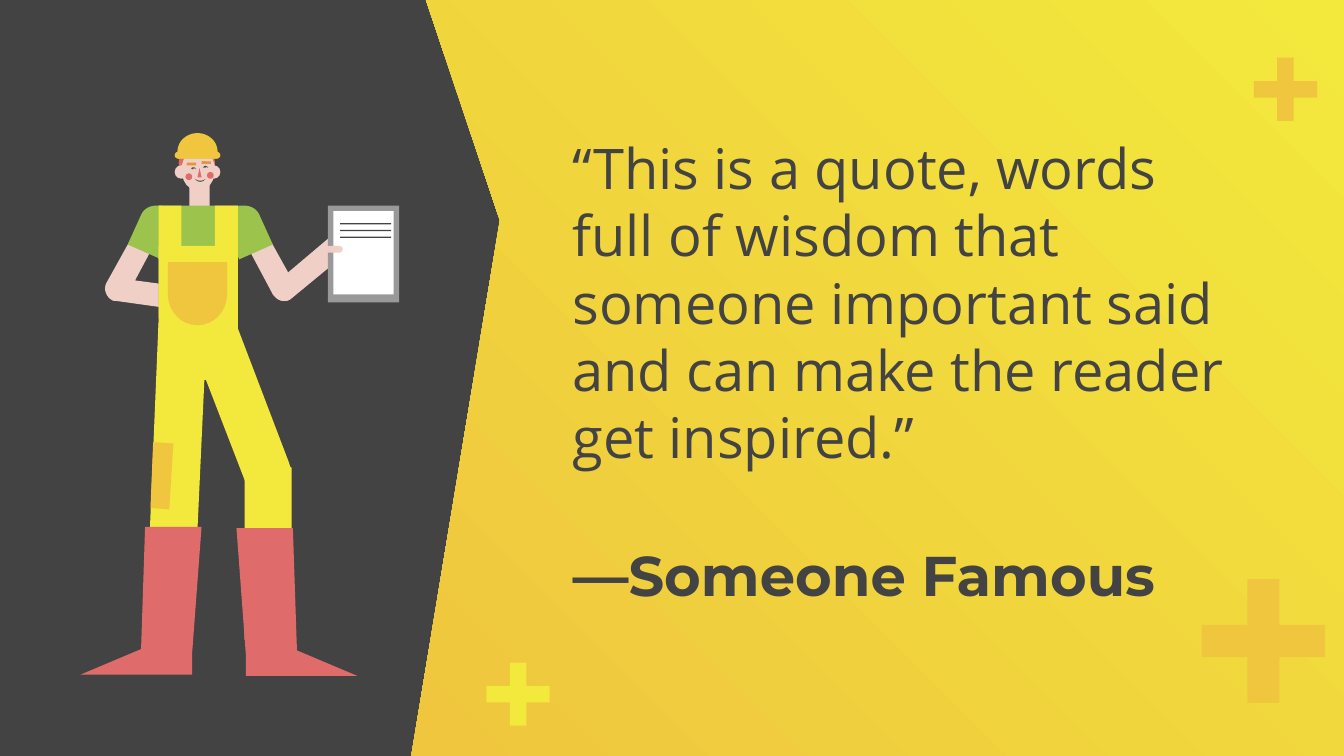
from pptx import Presentation
from pptx.dml.color import RGBColor
from pptx.enum.shapes import MSO_SHAPE as Preset
from pptx.enum.text import MSO_ANCHOR as Anchor, MSO_AUTO_SIZE as AutoSize, PP_ALIGN as Align
from pptx.util import Inches, Pt

COLORS = {
    "dark": "434343", "yellow": "F3E83C", "amber": "EFC63E", "skin": "EFCFC6",
    "green": "9CC34C", "red": "E06B6B", "brow": "E29643", "hair": "2B3340",
    "gray": "999999", "white": "FFFFFF",
}
CURVE_STEPS = 8


def add_preset(shapes, kind, box, color):
    """Add a flat preset shape; box is left, top, width, height in inches."""
    shape = shapes.add_shape(kind, *[Inches(value) for value in box])
    shape.shadow.inherit = False
    shape.line.fill.background()
    shape.fill.solid()
    shape.fill.fore_color.rgb = RGBColor.from_string(COLORS[color])
    return shape


def add_outline(shapes, steps, color):
    """Add a closed outline; a step is a point (2 values) or a Bezier curve (6)."""
    points = [steps[0]]
    for step in steps[1:]:
        if len(step) == 2:
            points.append(step)
            continue
        controls = [points[-1], step[:2], step[2:4], step[4:]]
        for number in range(1, CURVE_STEPS + 1):
            t = number / CURVE_STEPS
            weights = ((1 - t) ** 3, 3 * t * (1 - t) ** 2, 3 * t ** 2 * (1 - t), t ** 3)
            points.append(tuple(
                sum(weight * control[axis] for weight, control in zip(weights, controls))
                for axis in (0, 1)))
    vertices = [(Inches(x), Inches(y)) for x, y in points]
    builder = shapes.build_freeform(*vertices[0])
    builder.add_line_segments(vertices[1:], close=True)
    shape = builder.convert_to_shape()
    shape.shadow.inherit = False
    shape.line.fill.background()
    shape.fill.solid()
    shape.fill.fore_color.rgb = RGBColor.from_string(COLORS[color])
    return shape


# Widescreen slide, 16:9
presentation = Presentation()
presentation.slide_width = Inches(10)
presentation.slide_height = Inches(10) * 9 // 16
slide = presentation.slides.add_slide(presentation.slide_layouts[0])
slide.background.fill.solid()
slide.background.fill.fore_color.rgb = RGBColor.from_string(COLORS["dark"])

# Gradient panel
panel = add_outline(
    slide.shapes, [(3.17, 0), (10, 0), (10, 5.63), (3.06, 5.63), (3.72, 1.64)], "yellow")
panel.fill.gradient()
panel.fill.gradient_angle = 225
for stop, position, color in zip(panel.fill.gradient_stops, (0, 1), ("yellow", "amber")):
    stop.position = position
    stop.color.rgb = RGBColor.from_string(COLORS[color])

# Plus signs
for left, top, size, color in (
        (3.62, 4.93, 0.47, "yellow"), (9.33, 0.43, 0.47, "amber"), (8.94, 4.31, 0.92, "amber")):
    plus = add_preset(slide.shapes, Preset.CROSS, (left, top, size, size), color)
    plus.adjustments[0] = 0.37

# Quote and author, brought in front of the panel
for placeholder, box, text, font_name, bold in (
        (slide.shapes.title, (4.16, 3.9, 4.9, 0.74), "—Someone Famous", "Montserrat", True),
        (slide.placeholders[1], (4.16, 0.81, 5.08, 2.87),
         "“This is a quote, words full of wisdom that someone important said "
         "and can make the reader get inspired.”", "Open Sans", False)):
    slide.shapes.element.append(placeholder.element)
    placeholder.left, placeholder.top, placeholder.width, placeholder.height = map(Inches, box)
    frame = placeholder.text_frame
    frame.word_wrap = True
    frame.auto_size = AutoSize.NONE
    frame.vertical_anchor = Anchor.MIDDLE
    frame.margin_left = frame.margin_right = Inches(0.1)
    frame.margin_top = frame.margin_bottom = Inches(0.1)
    paragraph = frame.paragraphs[0]
    paragraph.alignment = Align.LEFT
    paragraph.space_before = Pt(0)
    paragraph.line_spacing = 1.0
    run = paragraph.add_run()
    run.text = text
    run.font.name = font_name
    run.font.size = Pt(30)
    run.font.bold = bold
    run.font.color.rgb = RGBColor.from_string(COLORS["dark"])

worker = slide.shapes.add_group_shape().shapes

# Upper arms and sleeves, mirrored about the body axis
AXIS = 1.49
upper_arm = [(1.04, 1.66), (0.79, 2.11), (0.77, 2.15, 0.79, 2.21, 0.83, 2.23),
             (0.84, 2.24, 0.86, 2.24, 0.87, 2.24), (0.9, 2.24, 0.93, 2.22, 0.95, 2.19),
             (1.19, 1.74)]
sleeve = [(1.17, 1.53), (1.12, 1.53, 1.07, 1.55, 1.05, 1.6), (0.95, 1.82), (1.2, 1.93),
          (1.29, 1.72), (1.32, 1.65, 1.29, 1.57, 1.23, 1.54), (1.21, 1.53, 1.19, 1.53, 1.17, 1.53)]
for steps, color in ((upper_arm, "skin"), (sleeve, "green")):
    mirrored = [tuple(value if index % 2 else 2 * AXIS - value
                      for index, value in enumerate(step)) for step in steps]
    add_outline(worker, steps, color)
    add_outline(worker, mirrored, color)

# Forearms
add_outline(worker, [(2.46, 1.76), (2.07, 2.09), (2.03, 2.12, 2.02, 2.17, 2.05, 2.21),
                     (2.07, 2.23, 2.1, 2.24, 2.12, 2.24), (2.14, 2.24, 2.16, 2.23, 2.17, 2.22),
                     (2.57, 1.89)], "skin")
add_outline(worker, [(0.88, 2.07), (0.83, 2.07, 0.8, 2.1, 0.79, 2.15),
                     (0.79, 2.2, 0.82, 2.24, 0.87, 2.24), (1.37, 2.31), (1.4, 2.14)], "skin")

# Head and face
for kind, box, color in (
        (Preset.OVAL, (1.33, 1.06, 0.27, 0.31), "red"),
        (Preset.RECTANGLE, (1.41, 1.33, 0.15, 0.25), "skin"),
        (Preset.OVAL, (1.35, 1.11, 0.25, 0.31), "skin"),
        (Preset.OVAL, (1.3, 1.23, 0.1, 0.1), "skin"),
        (Preset.OVAL, (1.54, 1.23, 0.1, 0.1), "skin"),
        (Preset.ISOSCELES_TRIANGLE, (1.47, 1.25, 0.03, 0.07), "red"),
        (Preset.ROUNDED_RECTANGLE, (1.39, 1.21, 0.07, 0.02), "brow"),
        (Preset.ROUNDED_RECTANGLE, (1.5, 1.2, 0.07, 0.02), "brow"),
        (Preset.OVAL, (1.38, 1.29, 0.05, 0.05), "red"),
        (Preset.OVAL, (1.54, 1.28, 0.05, 0.05), "red")):
    add_preset(worker, kind, box, color)
for x, y in ((1.44, 1.25), (1.53, 1.24)):
    add_outline(worker, [(x - 0.02, y + 0.01), (x - 0.01, y - 0.01, x + 0.01, y - 0.01, x + 0.02, y + 0.01),
                         (x + 0.01, y, x - 0.01, y, x - 0.02, y + 0.01)], "dark")
    add_preset(worker, Preset.OVAL, (x - 0.01, y, 0.01, 0.01), "dark")
add_outline(worker, [(1.45, 1.33), (1.47, 1.36, 1.51, 1.36, 1.53, 1.33),
                     (1.51, 1.35, 1.47, 1.35, 1.45, 1.33)], "dark")

# Helmet
add_preset(worker, Preset.OVAL, (1.4, 1.08, 0.11, 0.09), "hair")
add_outline(worker, [(1.47, 0.99), (1.39, 0.99, 1.32, 1.05, 1.32, 1.13), (1.32, 1.18),
                     (1.62, 1.18), (1.62, 1.13), (1.62, 1.05, 1.55, 0.99, 1.47, 0.99)], "amber")
brim = add_preset(worker, Preset.ROUNDED_RECTANGLE, (1.3, 1.13, 0.34, 0.05), "amber")
brim.adjustments[0] = 0.5

# Trousers and boots
for steps, color in (
        ([(1.75, 2.39), (1.58, 2.46), (1.49, 2.49, 1.44, 2.6, 1.48, 2.69), (1.82, 3.57),
          (1.84, 3.64, 1.91, 3.69, 1.99, 3.69), (2.01, 3.69, 2.03, 3.68, 2.05, 3.67),
          (2.14, 3.64, 2.19, 3.53, 2.15, 3.44)], "yellow"),
        ([(1.82, 3.36), (2.17, 3.48), (2.17, 4.76), (1.82, 4.76)], "yellow"),
        ([(1.18, 2.4), (1.08, 4.8), (1.43, 4.81), (1.54, 2.42)], "yellow"),
        ([(1.18, 2.29), (1.18, 2.83), (1.77, 2.83), (1.77, 2.29)], "yellow"),
        ([(1.08, 3.92), (1.05, 4.83), (0.6, 5.02), (1.43, 5.02), (1.43, 4.86), (1.5, 3.92)], "red"),
        ([(1.76, 3.93), (1.83, 4.87), (1.83, 5.03), (2.66, 5.03), (2.21, 4.84), (2.18, 3.93)], "red")):
    add_outline(worker, steps, color)

# Shirt, bib and straps
for box, color in (
        ((1.18, 1.53, 0.59, 0.84), "green"), ((1.18, 1.83, 0.59, 0.64), "yellow"),
        ((1.18, 1.53, 0.17, 0.4), "yellow"), ((1.6, 1.53, 0.17, 0.4), "yellow")):
    add_preset(worker, Preset.RECTANGLE, box, color)

# Pocket and knee patch
add_outline(worker, [(1.25, 1.95), (1.25, 2.19), (1.25, 2.32, 1.35, 2.42, 1.47, 2.42),
                     (1.59, 2.42, 1.69, 2.32, 1.69, 2.19), (1.69, 1.95)], "amber")
add_outline(worker, [(1.14, 3.29), (1.12, 3.78), (1.26, 3.79), (1.29, 3.3)], "amber")

# Clipboard with text lines and thumb
add_preset(worker, Preset.RECTANGLE, (2.44, 1.53, 0.53, 0.72), "gray")
add_preset(worker, Preset.RECTANGLE, (2.48, 1.57, 0.45, 0.62), "white")
thumb = add_preset(worker, Preset.ROUNDED_RECTANGLE, (2.41, 1.83, 0.14, 0.05), "skin")
thumb.adjustments[0] = 0.5
for row in range(3):
    add_preset(worker, Preset.RECTANGLE, (2.53, 1.66 + 0.05 * row, 0.38, 0.01), "dark")

presentation.save("out.pptx")
